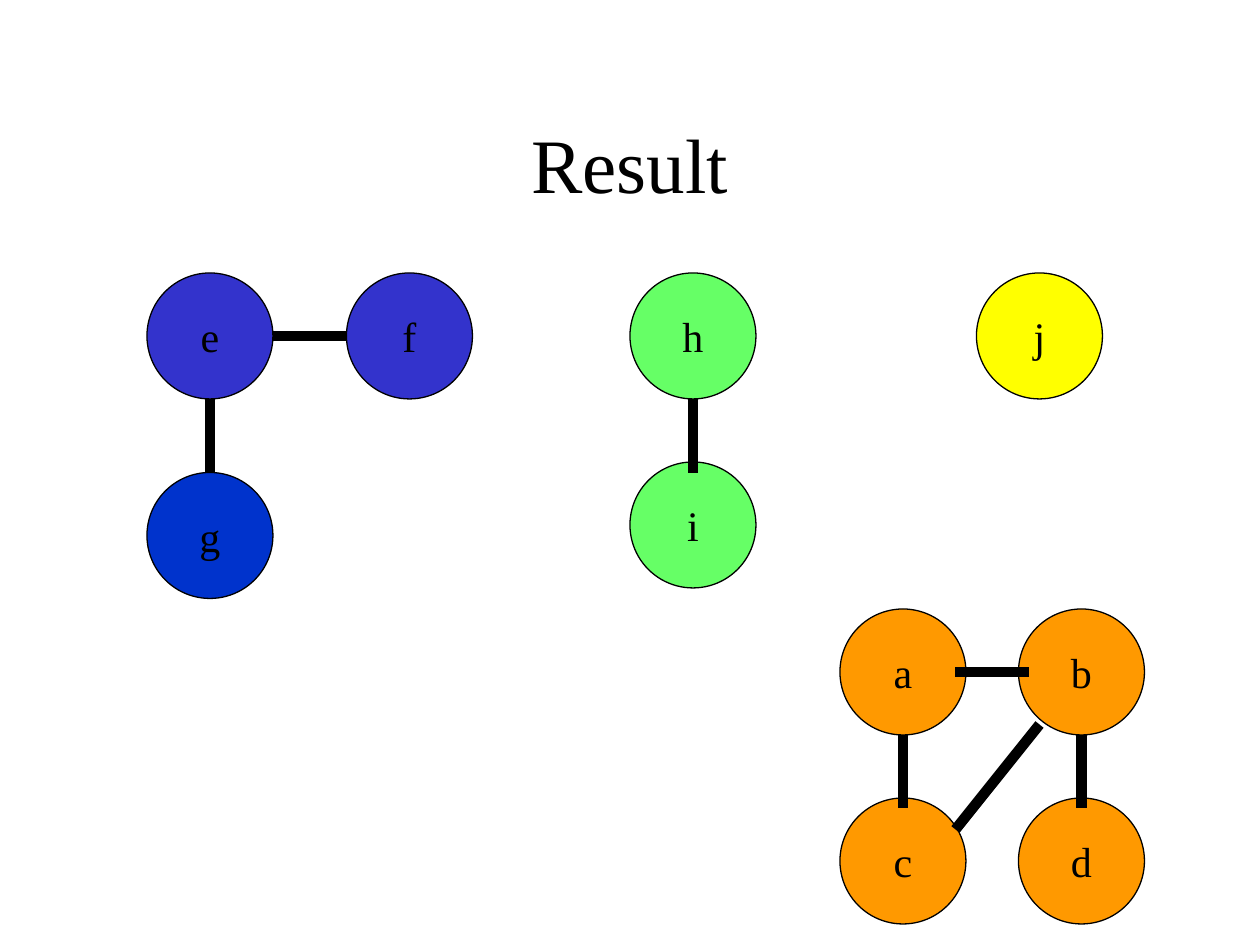
from typing import NamedTuple

from lxml import etree
from pptx import Presentation
from pptx.dml.color import RGBColor
from pptx.enum.shapes import MSO_CONNECTOR, MSO_SHAPE
from pptx.enum.text import MSO_ANCHOR, PP_ALIGN
from pptx.oxml.ns import qn
from pptx.util import Inches, Pt

STRAIGHT = MSO_CONNECTOR.STRAIGHT
OVAL = MSO_SHAPE.OVAL
MIDDLE = MSO_ANCHOR.MIDDLE
CENTER = PP_ALIGN.CENTER

BLACK = RGBColor(0x00, 0x00, 0x00)
INDIGO = RGBColor(0x33, 0x33, 0xCC)
BLUE = RGBColor(0x00, 0x33, 0xCC)
GREEN = RGBColor(0x66, 0xFF, 0x66)
YELLOW = RGBColor(0xFF, 0xFF, 0x00)
ORANGE = RGBColor(0xFF, 0x99, 0x00)

FONT = "Times New Roman"
SLIDE_WIDTH = Inches(10)
SLIDE_HEIGHT = Inches(7.5)
COLUMNS = 120
CELL = SLIDE_WIDTH / COLUMNS
DIAMETER = 12
RADIUS = DIAMETER // 2
EDGE_LENGTH = 7


class Node(NamedTuple):
    label: str
    column: int
    row: int
    color: RGBColor


class Edge(NamedTuple):
    column: int
    row: int
    columns: int
    rows: int


TOP_ROW = 26
E_COLUMN, H_COLUMN, A_COLUMN, B_COLUMN = 14, 60, 80, 97
A_ROW, C_ROW = 58, 76

NODES = [
    Node("f", 33, TOP_ROW, INDIGO),
    Node("i", H_COLUMN, 44, GREEN),
    Node("h", H_COLUMN, TOP_ROW, GREEN),
    Node("c", A_COLUMN, C_ROW, ORANGE),
    Node("d", B_COLUMN, C_ROW, ORANGE),
    Node("a", A_COLUMN, A_ROW, ORANGE),
    Node("b", B_COLUMN, A_ROW, ORANGE),
    Node("e", E_COLUMN, TOP_ROW, INDIGO),
    Node("g", E_COLUMN, 45, BLUE),
    Node("j", 93, TOP_ROW, YELLOW),
]


def edge_below(column: int, row: int) -> Edge:
    return Edge(column + RADIUS, row + DIAMETER, 0, EDGE_LENGTH)


EDGES = [
    edge_below(E_COLUMN, TOP_ROW),
    edge_below(H_COLUMN, TOP_ROW),
    edge_below(A_COLUMN, A_ROW),
    edge_below(B_COLUMN, A_ROW),
    Edge(E_COLUMN + DIAMETER, TOP_ROW + RADIUS, EDGE_LENGTH, 0),
    Edge(A_COLUMN + DIAMETER - 1, A_ROW + RADIUS, EDGE_LENGTH, 0),
    Edge(A_COLUMN + DIAMETER - 1, C_ROW + 3, 8, -10),
]


def grid(*cells: int) -> list[int]:
    return [round(cell * CELL) for cell in cells]


def write_text(shape, text: str, *, size: int, wrap: bool) -> None:
    frame = shape.text_frame
    frame.word_wrap = wrap
    frame.vertical_anchor = MIDDLE
    paragraph = frame.paragraphs[0]
    paragraph.alignment = CENTER
    run = paragraph.add_run()
    run.text = text
    run.font.name = FONT
    run.font.size = Pt(size)
    run.font.color.rgb = BLACK


def draw_node(slide, node: Node) -> None:
    circle = slide.shapes.add_shape(
        OVAL, *grid(node.column, node.row, DIAMETER, DIAMETER)
    )
    circle.shadow.inherit = False
    circle.fill.solid()
    circle.fill.fore_color.rgb = node.color
    circle.line.color.rgb = BLACK
    circle.line.width = Pt(0.75)
    write_text(circle, node.label, size=24, wrap=False)


def draw_edge(slide, edge: Edge) -> None:
    ends = grid(
        edge.column, edge.row, edge.column + edge.columns, edge.row + edge.rows
    )
    line = slide.shapes.add_connector(STRAIGHT, *ends)
    line.line.color.rgb = BLACK
    line.line.width = Pt(6)
    etree.SubElement(line._element.spPr, qn("a:effectLst"))


def main() -> None:
    presentation = Presentation()
    presentation.slide_width = SLIDE_WIDTH
    presentation.slide_height = SLIDE_HEIGHT
    slide = presentation.slides.add_slide(presentation.slide_layouts[6])

    title = slide.shapes.add_textbox(*grid(9, 8, 102, 15))
    write_text(title, "Result", size=44, wrap=True)
    for node in NODES:
        draw_node(slide, node)
    for edge in EDGES:
        draw_edge(slide, edge)

    presentation.save("out.pptx")


if __name__ == "__main__":
    main()
